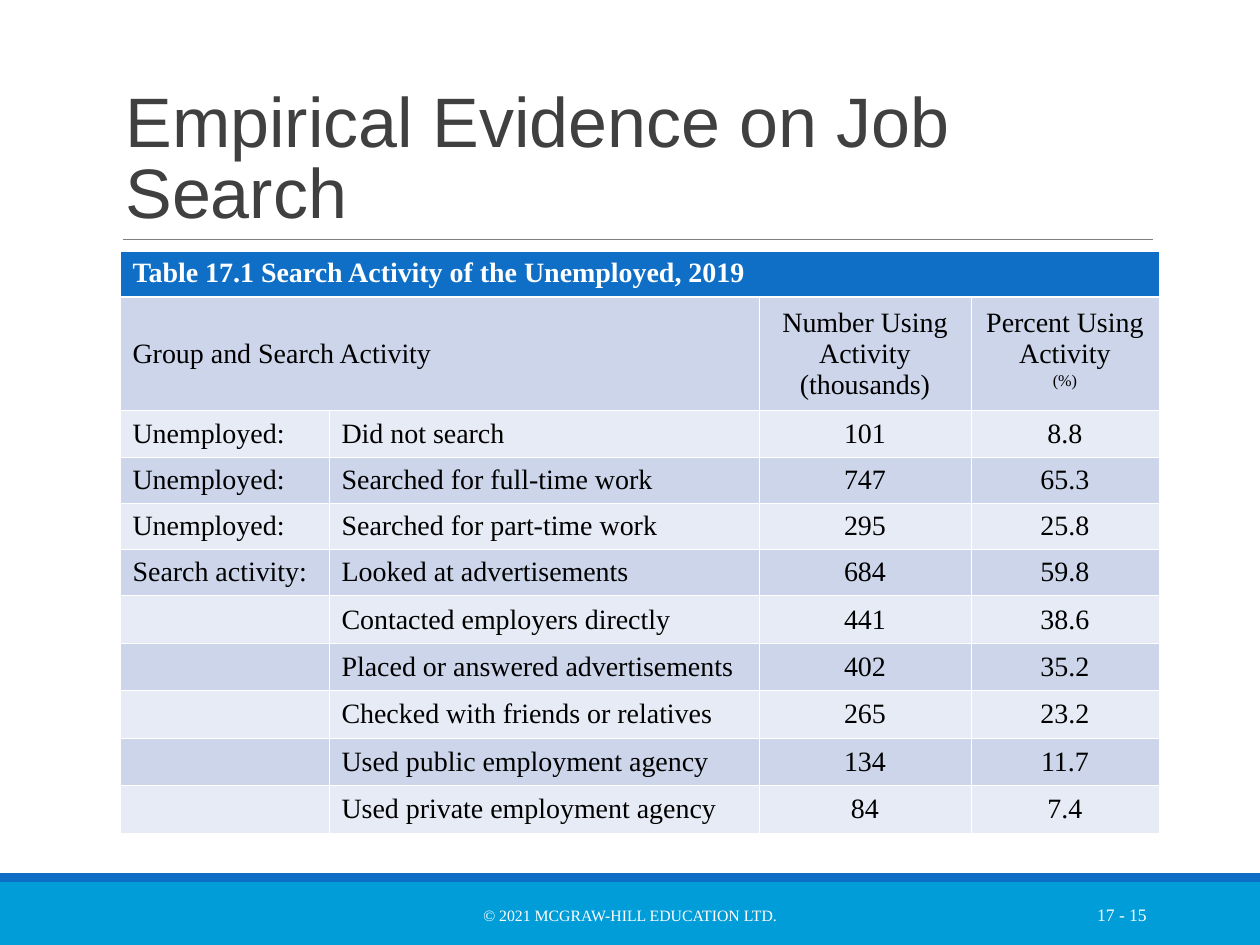
from lxml.etree import SubElement
from pptx import Presentation
from pptx.dml.color import RGBColor
from pptx.enum.shapes import MSO_CONNECTOR as Connector, MSO_SHAPE as Shape
from pptx.enum.text import MSO_ANCHOR as Anchor, PP_ALIGN as Align
from pptx.oxml import parse_xml
from pptx.oxml.ns import qn
from pptx.util import Emu, Pt

SCALE = 914400 / 126
SERIF, SANS = "Times New Roman", "Arial"
WHITE, BLACK, GREY = "FFFFFF", "000000", "404040"
BLUE, CYAN, RULE = "0F6FC6", "009DD9", "7F7F7F"
BANDS = ("CCD5EA", "E7EBF5")
DRAWING = "http://schemas.openxmlformats.org/drawingml/2006/main"

TITLE = "Empirical Evidence on Job Search"
COPYRIGHT = "© 2021 MCGRAW-HILL EDUCATION LTD."
PAGE_NUMBER = "17 - 15"
ROWS = [
    ("Table 17.1 Search Activity of the Unemployed, 2019", "", "", ""),
    ("Group and Search Activity", "", "Number Using Activity (thousands)", "Percent Using Activity"),
    ("Unemployed:", "Did not search", "101", "8.8"),
    ("Unemployed:", "Searched for full-time work", "747", "65.3"),
    ("Unemployed:", "Searched for part-time work", "295", "25.8"),
    ("Search activity:", "Looked at advertisements", "684", "59.8"),
    ("", "Contacted employers directly", "441", "38.6"),
    ("", "Placed or answered advertisements", "402", "35.2"),
    ("", "Checked with friends or relatives", "265", "23.2"),
    ("", "Used public employment agency", "134", "11.7"),
    ("", "Used private employment agency", "84", "7.4"),
]
COLUMN_WIDTHS = [209, 430, 212, 188]
ROW_HEIGHTS = [46, 113] + [46] * 4 + [48, 47, 48, 47, 48]
TABLE_LEFT, TABLE_TOP = 120, 251


def px(*lengths):
    """Turn px lengths into EMU."""
    return [Emu(round(length * SCALE)) for length in lengths]


def color(value):
    """Turn a hex string into a colour."""
    return RGBColor.from_string(value)


def write(para, text, size=16, font=SERIF, fill=BLACK, bold=False, align=Align.LEFT, spacing=None):
    """Add formatted text to a paragraph and return its span."""
    para.alignment = align
    para.line_spacing = spacing
    span = para.add_run()
    span.text = text
    span.font.size, span.font.name, span.font.bold = Pt(size), font, bold
    span.font.color.rgb = color(fill)
    return span


def add_text(page, text, bounds, anchor=Anchor.MIDDLE, **style):
    """Add a wrapped text box."""
    frame = page.shapes.add_textbox(*px(*bounds)).text_frame
    frame.word_wrap = True
    frame.vertical_anchor = anchor
    write(frame.paragraphs[0], text, **style)


def add_bar(page, fill, bounds):
    """Add a plain filled rectangle."""
    bar = page.shapes.add_shape(Shape.RECTANGLE, *px(*bounds))
    bar.shadow.inherit = False
    bar.fill.solid()
    bar.fill.fore_color.rgb = color(fill)
    bar.line.fill.background()


def add_rule(page, ends):
    """Add the thin line under the title."""
    rule = page.shapes.add_connector(Connector.STRAIGHT, *px(*ends))
    rule.line.color.rgb = color(RULE)
    rule.line.width = Pt(0.5)
    SubElement(rule._element.spPr, qn("a:effectLst"))


def format_cell(cell, fill, top, bottom):
    """Fill a cell and draw its white borders."""
    cell.vertical_anchor = Anchor.MIDDLE
    cell.fill.solid()
    cell.fill.fore_color.rgb = color(fill)
    widths = {"L": 0.45, "R": 0.45, "T": top, "B": bottom}
    for index, (side, width) in enumerate(widths.items()):
        border = parse_xml(
            f'<a:ln{side} xmlns:a="{DRAWING}" w="{Pt(width)}"><a:solidFill>'
            f'<a:srgbClr val="{WHITE}"/></a:solidFill></a:ln{side}>')
        cell._tc.get_or_add_tcPr().insert(index, border)


def add_activity_table(page):
    """Add the search activity table."""
    bounds = px(TABLE_LEFT, TABLE_TOP, sum(COLUMN_WIDTHS), sum(ROW_HEIGHTS))
    table = page.shapes.add_table(len(ROWS), len(COLUMN_WIDTHS), *bounds).table
    table.first_row = table.horz_banding = False
    for column, width in zip(table.columns, px(*COLUMN_WIDTHS)):
        column.width = width
    for row, height in zip(table.rows, px(*ROW_HEIGHTS)):
        row.height = height
    table.cell(0, 0).merge(table.cell(0, 3))
    table.cell(1, 0).merge(table.cell(1, 1))
    for r, values in enumerate(ROWS):
        heading = r == 0
        fill = BLUE if heading else BANDS[(r - 1) % 2]
        for c, value in enumerate(values):
            cell = table.cell(r, c)
            format_cell(cell, fill, 1.47 if r == 1 else 0.45, 1.47 if heading else 0.45)
            para = cell.text_frame.paragraphs[0]
            if value:
                write(para, value, fill=WHITE if heading else BLACK, bold=heading,
                      align=Align.CENTER if c > 1 else Align.LEFT)
            else:
                para._p.get_or_add_endParaRPr().set("sz", "1600")
    table.cell(0, 0).vertical_anchor = Anchor.TOP
    para = table.cell(1, 3).text_frame.paragraphs[0]
    para.add_line_break()
    unit = write(para, "(%)", align=Align.CENTER)
    unit.font._element.set("baseline", "30000")


def main():
    """Build the slide."""
    deck = Presentation()
    deck.slide_width, deck.slide_height = px(1260, 945)
    page = deck.slides.add_slide(deck.slide_layouts[6])
    add_bar(page, CYAN, (0, 882, 1260, 63))
    add_bar(page, BLUE, (0, 873, 1260, 9))
    add_rule(page, (123, 239, 1153, 239))
    add_text(page, COPYRIGHT, (381, 890, 498, 50), size=9, fill=WHITE, align=Align.CENTER)
    add_text(page, PAGE_NUMBER, (1023, 890, 136, 50), size=10, fill=WHITE, align=Align.RIGHT)
    add_text(page, TITLE, (113, 39, 1040, 200), anchor=Anchor.BOTTOM,
             size=40, font=SANS, fill=GREY, spacing=0.85)
    add_activity_table(page)
    deck.save("out.pptx")


if __name__ == "__main__":
    main()
